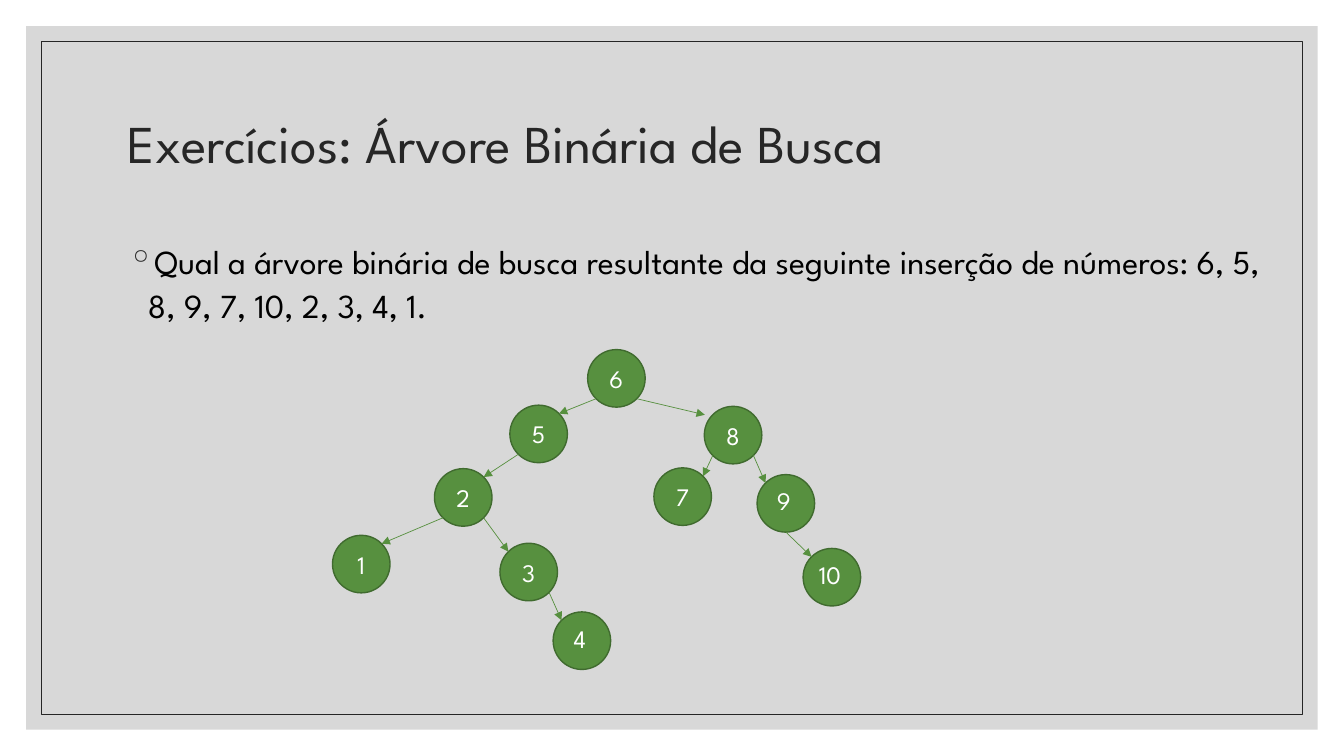
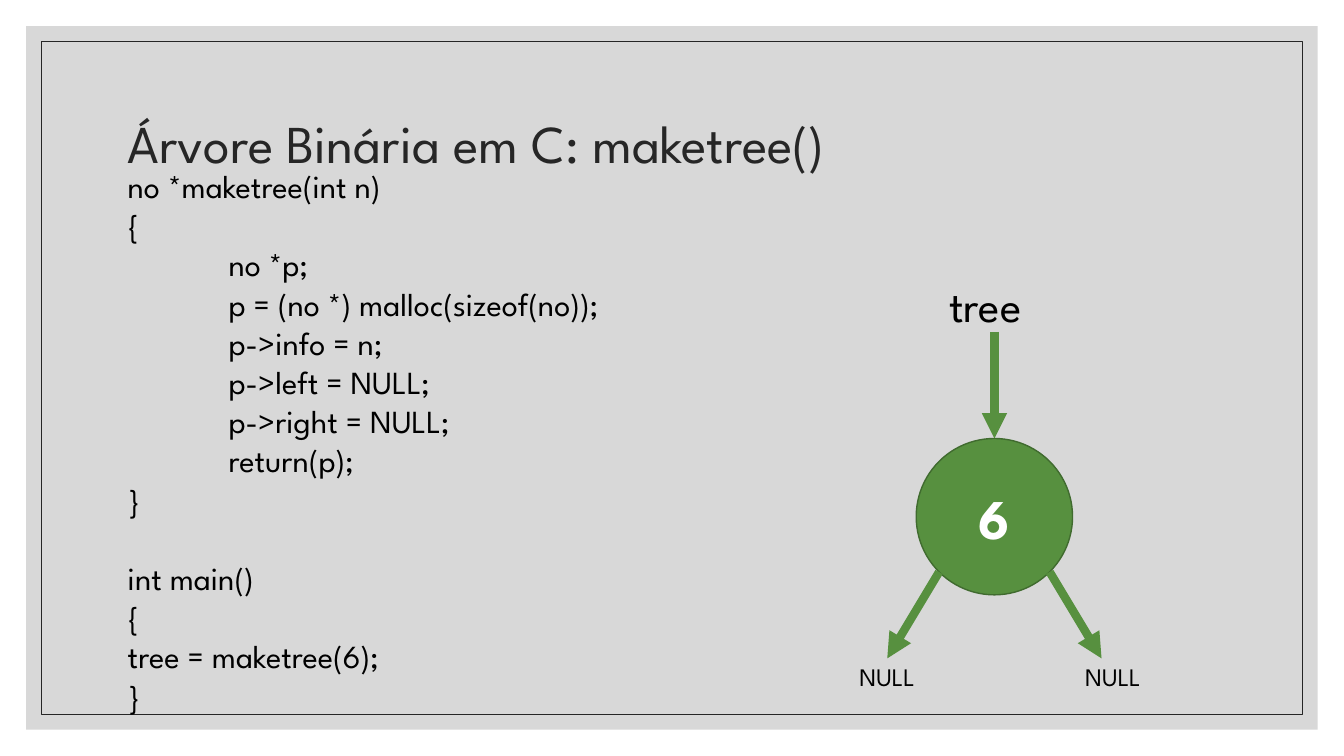
from math import sqrt

from lxml.etree import SubElement
from pptx import Presentation
from pptx.dml.color import RGBColor
from pptx.enum.shapes import MSO_CONNECTOR, MSO_SHAPE
from pptx.enum.text import MSO_ANCHOR, PP_ALIGN
from pptx.oxml.ns import qn
from pptx.util import Cm, Pt

FONT = "League Spartan"
INK, BLACK, WHITE = "262626", "000000", "FFFFFF"
GREY, GREEN, DARK = "BFBFBF", "57903F", "406B2F"
WIDE, HIGH = 33.87, 19.05
LEFT = 2.97

TITLES = ["Exercícios: Árvore Binária de Busca", "Árvore Binária em C: maketree()"]
QUESTION = ("Qual a árvore binária de busca resultante da seguinte inserção "
            "de números: 6, 5, 8, 9, 7, 10, 2, 3, 4, 1.")
SIZE = 1.45
NODES = {
    6: (14.81, 8.81), 5: (12.85, 10.21), 8: (17.75, 10.24),
    2: (10.95, 11.81), 7: (16.48, 11.79), 9: (19.08, 11.96),
    1: (8.38, 13.49), 3: (12.6, 13.69), 10: (20.24, 13.82), 4: (13.94, 15.42),
}
EDGES = [(6, 5), (6, 8), (5, 2), (8, 7), (8, 9), (2, 1), (2, 3), (3, 4), (9, 10)]
SHIFTS = {(6, 8): (0, -0.2), (9, 10): (-0.51, 0)}
RAISED = {4, 9, 10}
INSETS = (0.1, 0, 0.2, 0.13)

CODE = [
    (0, "no *maketree(int n)"),
    (0, "{"),
    (1, "no *p;"),
    (1, "p = (no *) malloc(sizeof(no));"),
    (1, "p->info = n;"),
    (1, "p->left = NULL;"),
    (1, "p->right = NULL;"),
    (1, "return(p);"),
    (0, "}"),
    (0, "int main()"),
    (0, "{"),
    (0, "tree = maketree(6);"),
    (0, "}"),
]
ROOT = (25.06, 13.02)
ROOT_SIZE = 3.94
LABELS = [("tree", 23.67, 6.88, 32), ("NULL", 21.41, 16.54, 18), ("NULL", 27.1, 16.54, 18)]


def color(code):
    return RGBColor.from_string(code)


def write(para, text, size, ink=BLACK, bold=None):
    run = para.add_run()
    run.text = text
    font = run.font
    font.name, font.size, font.bold = FONT, Pt(size), bold
    font.color.rgb = color(ink)


def shape(slide, kind, box, fill=None, line=None, width=1):
    item = slide.shapes.add_shape(kind, *map(Cm, box))
    item.shadow.inherit = False
    if fill:
        item.fill.solid()
        item.fill.fore_color.rgb = color(fill)
    else:
        item.fill.background()
    if line:
        item.line.color.rgb = color(line)
        item.line.width = Pt(width)
    else:
        item.line.fill.background()
    return item


def frame(slide, layout):
    def panel(edge, **style):
        box = (edge, edge, WIDE - 2 * edge, HIGH - 2 * edge)
        return shape(slide, MSO_SHAPE.RECTANGLE, box, **style)

    back = panel(0.66, fill=GREY)
    tone = back.fill._xPr.find(qn("a:solidFill"))[0]
    SubElement(tone, qn("a:alpha"), val="60000")
    edge = panel(1.04, line=INK, width=0.5)
    for spot, item in enumerate((back, edge), 2):
        layout.shapes._spTree.insert(spot, item._element)


def head(slide, text):
    title = slide.shapes.title
    title.left, title.top = Cm(LEFT), Cm(1.78)
    title.width, title.height = Cm(27.94), Cm(3.81)
    title.text_frame.vertical_anchor = MSO_ANCHOR.MIDDLE
    para = title.text_frame.paragraphs[0]
    para.alignment = PP_ALIGN.LEFT
    para.line_spacing = 0.9
    write(para, text, 38, INK)


def area(slide, *box):
    frame = slide.shapes.add_textbox(*map(Cm, box)).text_frame
    frame.word_wrap = True
    return frame


def node(slide, box, text, size, bold=None, insets=None):
    item = shape(slide, MSO_SHAPE.OVAL, box, GREEN, DARK)
    frame = item.text_frame
    frame.vertical_anchor = MSO_ANCHOR.MIDDLE
    if insets:
        (frame.margin_left, frame.margin_top,
         frame.margin_right, frame.margin_bottom) = map(Cm, insets)
    para = frame.paragraphs[0]
    para.alignment = PP_ALIGN.CENTER
    write(para, text, size, WHITE, bold)


def arrow(slide, start, end, width):
    item = slide.shapes.add_connector(MSO_CONNECTOR.STRAIGHT, *map(Cm, (*start, *end)))
    item.line.color.rgb = color(GREEN)
    item.line.width = Pt(width)
    SubElement(item.line._get_or_add_ln(), qn("a:tailEnd"), type="triangle")
    SubElement(item._element.spPr, qn("a:effectLst"))


def draw_search(slide):
    para = area(slide, LEFT, 5.84, 29.41, 2.8).paragraphs[0]
    para.line_spacing = 1.1
    para.space_before = Pt(9)
    props = para._p.get_or_add_pPr()
    props.set("marL", str(Cm(0.51)))
    props.set("indent", str(Cm(-0.51)))
    tint = SubElement(props, qn("a:buClr"))
    SubElement(tint, qn("a:srgbClr"), val=INK)
    SubElement(props, qn("a:buChar"), char="◦")
    write(para, QUESTION, 24)

    for key, spot in NODES.items():
        insets = INSETS if key in RAISED else None
        node(slide, (*spot, SIZE, SIZE), str(key), 18, insets=insets)
    mid = SIZE / 2
    reach = mid / sqrt(2)
    for pair in EDGES:
        (x, y), (to_x, to_y) = (NODES[key] for key in pair)
        side = 1 if to_x > x else -1
        near, far = SHIFTS.get(pair, (0, 0))
        drop = mid if near else reach
        start = (x + mid + side * reach + near, y + mid + drop)
        end = (to_x + mid - side * reach + far, to_y + mid - reach)
        arrow(slide, start, end, 0.5)


def draw_code(slide):
    body = area(slide, LEFT, 4.37, 17, 10.69)
    for row, (level, text) in enumerate(CODE):
        para = body.add_paragraph() if row else body.paragraphs[0]
        para.line_spacing = Pt(19)
        para.space_before = Pt(37 if text == "int main()" else 9)
        para._p.get_or_add_pPr().set("marL", str(Cm(2.54 * level)))
        write(para, text, 23)

    x, y = ROOT
    mid = ROOT_SIZE / 2
    reach = mid / sqrt(2)
    arrow(slide, (x, 8.36), (x, y - mid), 6)
    node(slide, (x - mid, y - mid, ROOT_SIZE, ROOT_SIZE), "6", 40, True)
    for side in (-1, 1):
        arrow(slide, (x + side * reach, y + reach), (x + side * 2.7, 16.59), 6)
    for text, left, top, size in LABELS:
        write(area(slide, left, top, 2.72, 1.02).paragraphs[0], text, size)


def main():
    deck = Presentation()
    deck.slide_width, deck.slide_height = Cm(WIDE), Cm(HIGH)
    layout = deck.slide_layouts.get_by_name("Title Only")
    slides = [deck.slides.add_slide(layout) for _ in TITLES]
    frame(slides[0], layout)
    for slide, title, draw in zip(slides, TITLES, (draw_search, draw_code)):
        head(slide, title)
        draw(slide)
    deck.save("out.pptx")


if __name__ == "__main__":
    main()
